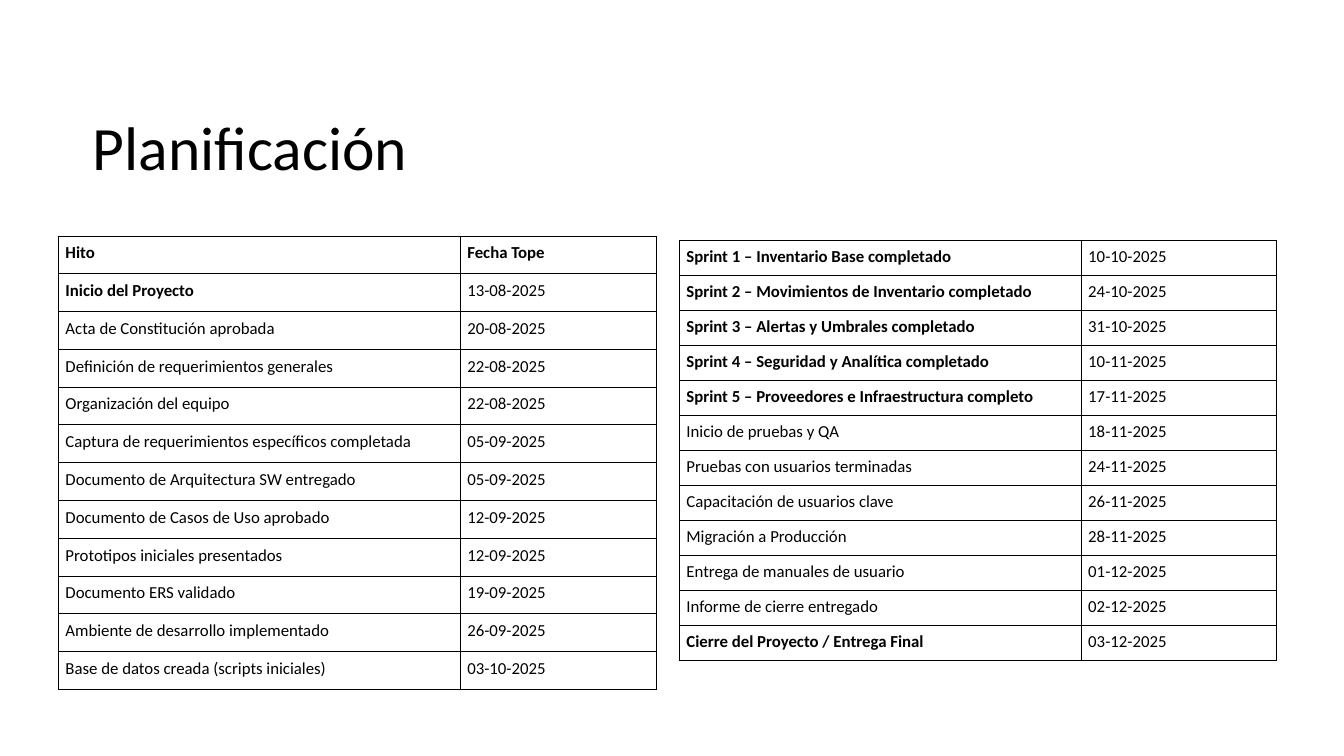
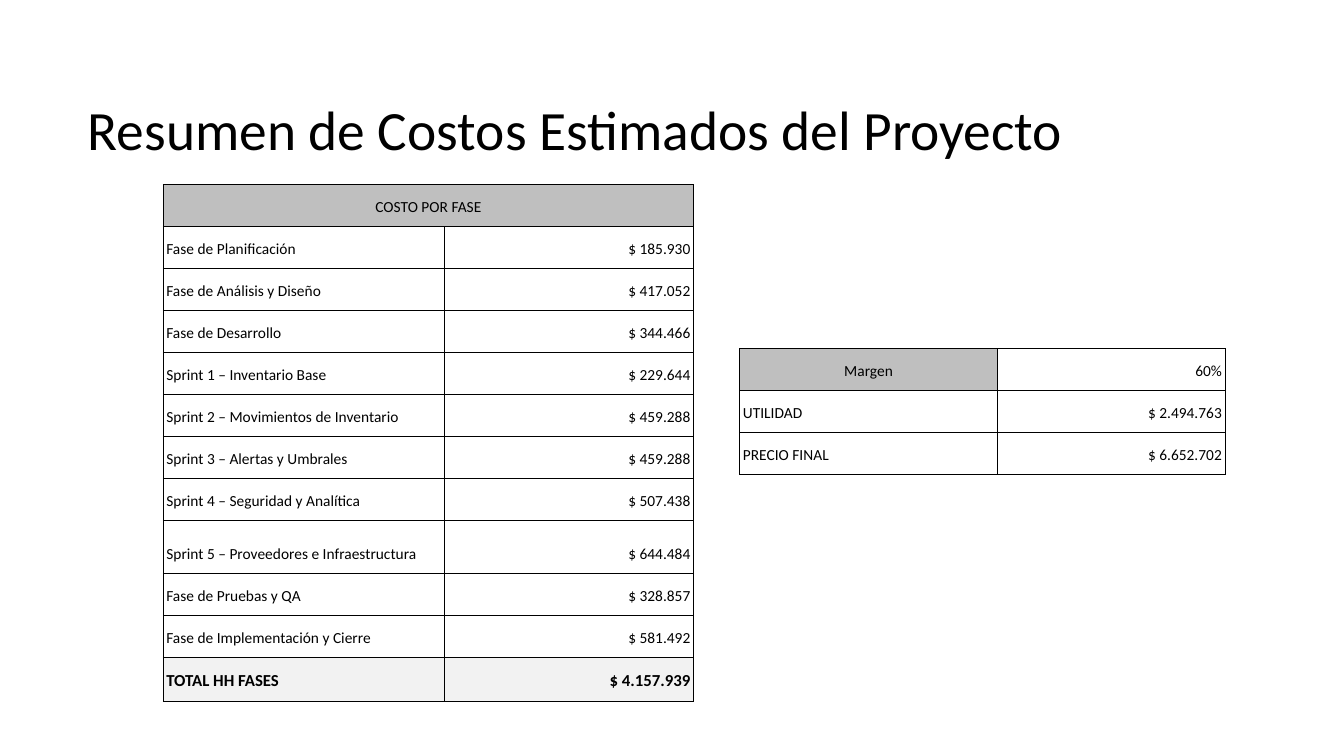
from lxml import etree
from pptx import Presentation
from pptx.dml.color import RGBColor
from pptx.enum.text import MSO_ANCHOR, MSO_AUTO_SIZE, PP_ALIGN
from pptx.oxml.ns import qn
from pptx.util import Inches, Pt

LEFT, CENTER, RIGHT, JUSTIFY = PP_ALIGN.LEFT, PP_ALIGN.CENTER, PP_ALIGN.RIGHT, PP_ALIGN.JUSTIFY
TOP, MIDDLE, BOTTOM = MSO_ANCHOR.TOP, MSO_ANCHOR.MIDDLE, MSO_ANCHOR.BOTTOM
NO_AUTOFIT = MSO_AUTO_SIZE.NONE
TITLE_ONLY = 5

COLORS = {"ink": "000000", "header": "BFBFBF", "total": "F2F2F2"}
FONT = "Calibri"

deck = Presentation()
deck.slide_width, deck.slide_height = Inches(13.33), Inches(7.5)
# Lengths are given in hundredths of the slide's width and height
ACROSS, DOWN = deck.slide_width / 100, deck.slide_height / 100

MILESTONE_LOOK = {
    "size": 12, "line": 0.5, "aligns": (JUSTIFY, JUSTIFY),
    "paragraph": {"space_before": Pt(2)},
    "cell": {"vertical_anchor": TOP, "margin_left": Inches(0.07), "margin_right": Inches(0.07),
             "margin_top": Inches(0.07), "margin_bottom": Inches(0.07)},
    "bold": ("Hito", "Fecha", "Inicio del Proyecto", "Sprint", "Cierre"),
}
COST_LOOK = {
    "size": 11, "line": 0.75, "aligns": (LEFT, RIGHT),
    "paragraph": {"line_spacing": 1.15},
    "cell": {"vertical_anchor": BOTTOM, "margin_left": Inches(0.03), "margin_right": Inches(0.03),
             "margin_top": Inches(0.1), "margin_bottom": Inches(0.1)},
    "bold": ("TOTAL", "$ 4.157.939"),
}
HEADERS = ("COSTO POR FASE", "Margen")

FIRST_MILESTONES = [
    ("Hito", "Fecha Tope"),
    ("Inicio del Proyecto", "13-08-2025"),
    ("Acta de Constitución aprobada", "20-08-2025"),
    ("Definición de requerimientos generales", "22-08-2025"),
    ("Organización del equipo", "22-08-2025"),
    ("Captura de requerimientos específicos completada", "05-09-2025"),
    ("Documento de Arquitectura SW entregado", "05-09-2025"),
    ("Documento de Casos de Uso aprobado", "12-09-2025"),
    ("Prototipos iniciales presentados", "12-09-2025"),
    ("Documento ERS validado", "19-09-2025"),
    ("Ambiente de desarrollo implementado", "26-09-2025"),
    ("Base de datos creada (scripts iniciales)", "03-10-2025"),
]
LAST_MILESTONES = [
    ("Sprint 1 – Inventario Base completado", "10-10-2025"),
    ("Sprint 2 – Movimientos de Inventario completado", "24-10-2025"),
    ("Sprint 3 – Alertas y Umbrales completado", "31-10-2025"),
    ("Sprint 4 – Seguridad y Analítica completado", "10-11-2025"),
    ("Sprint 5 – Proveedores e Infraestructura completo", "17-11-2025"),
    ("Inicio de pruebas y QA", "18-11-2025"),
    ("Pruebas con usuarios terminadas", "24-11-2025"),
    ("Capacitación de usuarios clave", "26-11-2025"),
    ("Migración a Producción", "28-11-2025"),
    ("Entrega de manuales de usuario", "01-12-2025"),
    ("Informe de cierre entregado", "02-12-2025"),
    ("Cierre del Proyecto / Entrega Final", "03-12-2025"),
]
PHASE_COSTS = [
    ("COSTO POR FASE", ""),
    ("Fase de Planificación", "$ 185.930"),
    ("Fase de Análisis y Diseño", "$ 417.052"),
    ("Fase de Desarrollo", "$ 344.466"),
    ("Sprint 1 – Inventario Base", "$ 229.644"),
    ("Sprint 2 – Movimientos de Inventario", "$ 459.288"),
    ("Sprint 3 – Alertas y Umbrales", "$ 459.288"),
    ("Sprint 4 – Seguridad y Analítica", "$ 507.438"),
    ("Sprint 5 – Proveedores e Infraestructura", "$ 644.484"),
    ("Fase de Pruebas y QA", "$ 328.857"),
    ("Fase de Implementación y Cierre", "$ 581.492"),
    ("TOTAL HH FASES", "$ 4.157.939"),
]
FINAL_PRICE = [
    ("Margen", "60%"),
    ("UTILIDAD", "$ 2.494.763"),
    ("PRECIO FINAL", "$ 6.652.702"),
]


def write(paragraph, text, size, bold=False):
    span = paragraph.add_run()
    span.text = text
    for name, value in {"name": FONT, "size": Pt(size), "bold": bold}.items():
        setattr(span.font, name, value)
    span.font.color.rgb = RGBColor.from_string(COLORS["ink"])


def fill_cell(cell, text, align, look):
    """Write and format one cell, with a thin border on all four sides."""
    for name, value in look["cell"].items():
        setattr(cell, name, value)
    properties = cell._tc.get_or_add_tcPr()
    for side in ("a:lnL", "a:lnR", "a:lnT", "a:lnB"):
        border = etree.SubElement(properties, qn(side), w=str(Pt(look["line"])))
        paint = etree.SubElement(border, qn("a:solidFill"))
        etree.SubElement(paint, qn("a:srgbClr"), val=COLORS["ink"])

    bold = text.startswith(look["bold"])
    shade = None
    if look is COST_LOOK:
        shade = "header" if text in HEADERS else "total" if bold else None
    if shade:
        cell.fill.solid()
        cell.fill.fore_color.rgb = RGBColor.from_string(COLORS[shade])
    else:
        cell.fill.background()

    paragraph = cell.text_frame.paragraphs[0]
    paragraph.alignment = CENTER if shade == "header" else align
    for name, value in look["paragraph"].items():
        setattr(paragraph, name, value)
    if text:
        write(paragraph, text, 12 if shade == "total" else look["size"], bold)


# Each table: rows, left, top, column widths, row height, look
SLIDES = [
    {"title": "Planificación", "size": 44, "place": (6.15, 10.27, 86.25, 19.33),
     "tables": [
         (FIRST_MILESTONES, 4.35, 31.2, (29.9, 14.55), 5, MILESTONE_LOOK),
         (LAST_MILESTONES, 50.55, 31.73, (29.9, 14.55), 4.63, MILESTONE_LOOK),
     ]},
    {"title": "Resumen de Costos Estimados del Proyecto", "size": 39.6,
     "place": (5.78, 13.2, 86.25, 8.53),
     "tables": [
         (PHASE_COSTS, 12.15, 24.4, (20.95, 18.5), 5.55, COST_LOOK),
         (FINAL_PRICE, 55.05, 46.13, (19.15, 16.95), 5.55, COST_LOOK),
     ]},
]

for content in SLIDES:
    page = deck.slides.add_slide(deck.slide_layouts[TITLE_ONLY])
    title = page.shapes.title
    for name, share, unit in zip(("left", "top", "width", "height"), content["place"],
                                 (ACROSS, DOWN, ACROSS, DOWN)):
        setattr(title, name, int(share * unit))
    frame = title.text_frame
    for name, value in {"word_wrap": True, "auto_size": NO_AUTOFIT,
                        "vertical_anchor": MIDDLE}.items():
        setattr(frame, name, value)
    heading = frame.paragraphs[0]
    heading.alignment, heading.line_spacing = LEFT, 0.9
    write(heading, content["title"], content["size"])

    for rows, left, top, columns, row_height, look in content["tables"]:
        table = page.shapes.add_table(
            len(rows), len(columns), int(left * ACROSS), int(top * DOWN),
            int(sum(columns) * ACROSS), int(len(rows) * row_height * DOWN)).table
        table.first_row = table.horz_banding = False
        for column, width in zip(table.columns, columns):
            column.width = int(width * ACROSS)
        for index, texts in enumerate(rows):
            table.rows[index].height = int(row_height * DOWN)
            for position, text in enumerate(texts):
                fill_cell(table.cell(index, position), text, look["aligns"][position], look)
        if rows is PHASE_COSTS:
            table.cell(0, 0).merge(table.cell(0, 1))
            table.rows[8].height = int(7 * DOWN)

deck.save("out.pptx")
